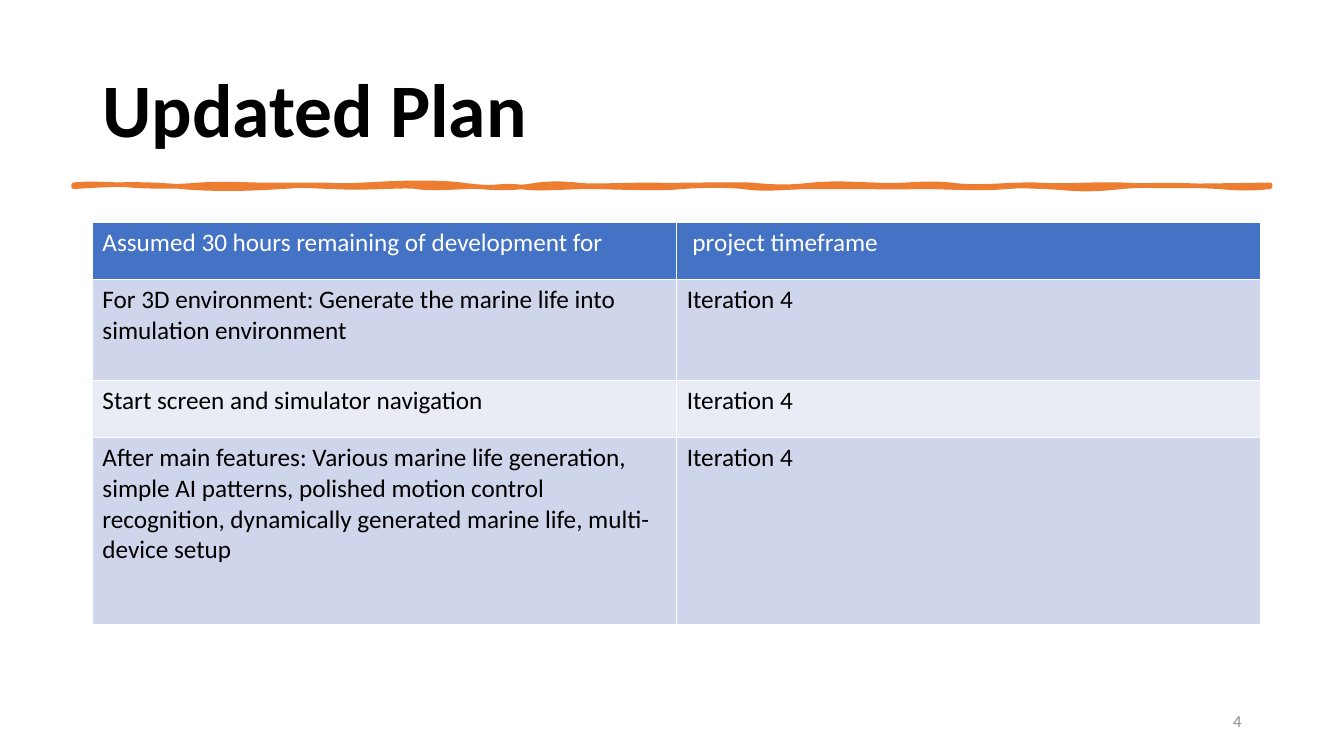
from lxml import etree
from pptx import Presentation
from pptx.dml import color
from pptx.enum import text
from pptx.oxml import ns
from pptx.util import Pt

FONT = "Calibri"
TITLE = dict(words="Updated Plan", box=(66, 28.8, 828, 104.4), size=54, ink="000000",
             bold=True, align=text.PP_ALIGN.LEFT)
PAGE = dict(words="4", box=(678, 500.4, 216, 28.8), size=12, ink="8C8C8C",
            bold=False, align=text.PP_ALIGN.RIGHT)

PLAN = [
    ("Assumed 30 hours remaining of development for ", " project timeframe"),
    ("For 3D environment: Generate the marine life into simulation environment", "Iteration 4"),
    ("Start screen and simulator navigation", "Iteration 4"),
    ("After main features: Various marine life generation, simple AI patterns, polished "
     "motion control recognition, dynamically generated marine life, multi-device setup",
     "Iteration 4"),
]
PLAN_LEFT, PLAN_TOP, COLUMN_WIDTH = 66, 158.6, 417.4
ROW_HEIGHTS = [41, 72, 41, 133.6]
HEADER_FILL, BAND_FILLS = "4472C4", ("E9EBF5", "CFD5EA")

STROKE_COLOR, STROKE_WEIGHT = "ED7D31", 3.25
STROKE_LEFT, STROKE_RIGHT = 52.6, 907.2
STROKE_TOP, STROKE_BOTTOM = 132, 133.4
# Each wave: first control x and rise, second control x and rise, end x
UPPER_WAVES = [
    (64, -1.4, 80, 0, 89), (98, 0.7, 117, 2.2, 143), (168, -1.4, 181, 0.7, 204),
    (228, 0, 221, 0, 232), (243, 0.7, 246, 0.7, 260), (274, -0.7, 305, -2.9, 330),
    (356, 3.6, 372, 2.2, 384), (395, -1.4, 405, -0.7, 412), (418, 1.4, 450, 0, 465),
    (480, 0.7, 521, -0.7, 536), (551, 1.4, 563, 2.2, 580), (598, -1.4, 603, -0.7, 625),
    (647, 1.4, 658, -2.2, 679), (700, 2.9, 721, -0.7, 741), (760, 1.4, 776, -0.7, 803),
    (829, 1.4, 863, 0.7, STROKE_RIGHT),
]
LOWER_WAVES = [
    (894, 1.4, 886, 1.4, 871), (857, -0.7, 827, -2.2, 801), (774, 2.9, 770, 1.4, 747),
    (724, -0.7, 733, -0.7, 719), (706, 1.4, 683, 0.7, 666), (649, 0, 636, 0.7, 621),
    (606, 0, 596, 0, 576), (557, 0.7, 545, 2.2, 531), (518, -1.4, 495, -0.7, 487),
    (477, 1.4, 449, 0.7, 425), (400, 0, 387, 2.2, 371), (356, -1.4, 354, 1.4, 343),
    (333, -0.7, 310, 2.2, 298), (287, -1.4, 267, 1.4, 236), (206, -1.4, 218, -0.7, 200),
    (182, 1.4, 153, 2.2, 130), (106, -2.2, 85, -2.2, STROKE_LEFT),
]


def paint(target, shade):
    if hasattr(target, "solid"):
        target.solid()
        target = target.fore_color
    target.rgb = color.RGBColor.from_string(shade)


def style(paragraph, size, ink, bold=False):
    for run in paragraph.runs:
        run.font.name, run.font.size, run.font.bold = FONT, Pt(size), bold
        paint(run.font.color, ink)


def add_label(slide, words, box, size, ink, bold, align):
    frame = slide.shapes.add_textbox(*map(Pt, box)).text_frame
    frame.word_wrap = True
    frame.vertical_anchor = text.MSO_ANCHOR.MIDDLE
    frame.text = words
    line = frame.paragraphs[0]
    line.alignment = align
    if size > 40:
        line.line_spacing = 0.9
    style(line, size, ink, bold)


def wave_curves(base, waves):
    for x1, rise1, x2, rise2, end in waves:
        curve = etree.Element(ns.qn("a:cubicBezTo"))
        for x, y in ((x1, base + rise1), (x2, base + rise2), (end, base)):
            etree.SubElement(curve, ns.qn("a:pt"), x=str(Pt(x) - Pt(STROKE_LEFT)),
                             y=str(Pt(y) - Pt(STROKE_TOP)))
        yield curve


def add_brush_stroke(slide):
    builder = slide.shapes.build_freeform(Pt(STROKE_LEFT), Pt(STROKE_TOP))
    right_end, left_end = [
        (Pt(STROKE_RIGHT), Pt(STROKE_BOTTOM)), (Pt(STROKE_LEFT), Pt(STROKE_BOTTOM))]
    builder.add_line_segments([right_end, left_end], close=True)
    stroke = builder.convert_to_shape()
    upper_side, lower_side = stroke.element.findall(".//" + ns.qn("a:lnTo"))[:2]
    for curve in wave_curves(STROKE_TOP, UPPER_WAVES):
        upper_side.addprevious(curve)
    for curve in wave_curves(STROKE_BOTTOM, LOWER_WAVES):
        lower_side.addprevious(curve)
    lower_side.getparent().remove(lower_side)
    stroke.shadow.inherit = False
    paint(stroke.fill, STROKE_COLOR)
    paint(stroke.line.fill, STROKE_COLOR)
    stroke.line.width = Pt(STROKE_WEIGHT)


def add_plan(slide):
    columns = len(PLAN[0])
    plan = slide.shapes.add_table(
        len(PLAN), columns, Pt(PLAN_LEFT), Pt(PLAN_TOP),
        Pt(COLUMN_WIDTH * columns), Pt(sum(ROW_HEIGHTS))).table
    for r, (entries, height) in enumerate(zip(PLAN, ROW_HEIGHTS)):
        plan.rows[r].height = Pt(height)
        for c, entry in enumerate(entries):
            cell = plan.cell(r, c)
            cell.text_frame.text = entry
            paint(cell.fill, BAND_FILLS[r % 2] if r else HEADER_FILL)
            style(cell.text_frame.paragraphs[0], 18, "000000" if r else "FFFFFF")


def main():
    deck = Presentation()
    deck.slide_width, deck.slide_height = Pt(960), Pt(540)
    slide = deck.slides.add_slide(deck.slide_layouts[6])
    add_label(slide, **TITLE)
    add_brush_stroke(slide)
    add_plan(slide)
    add_label(slide, **PAGE)
    deck.save("out.pptx")


if __name__ == "__main__":
    main()
